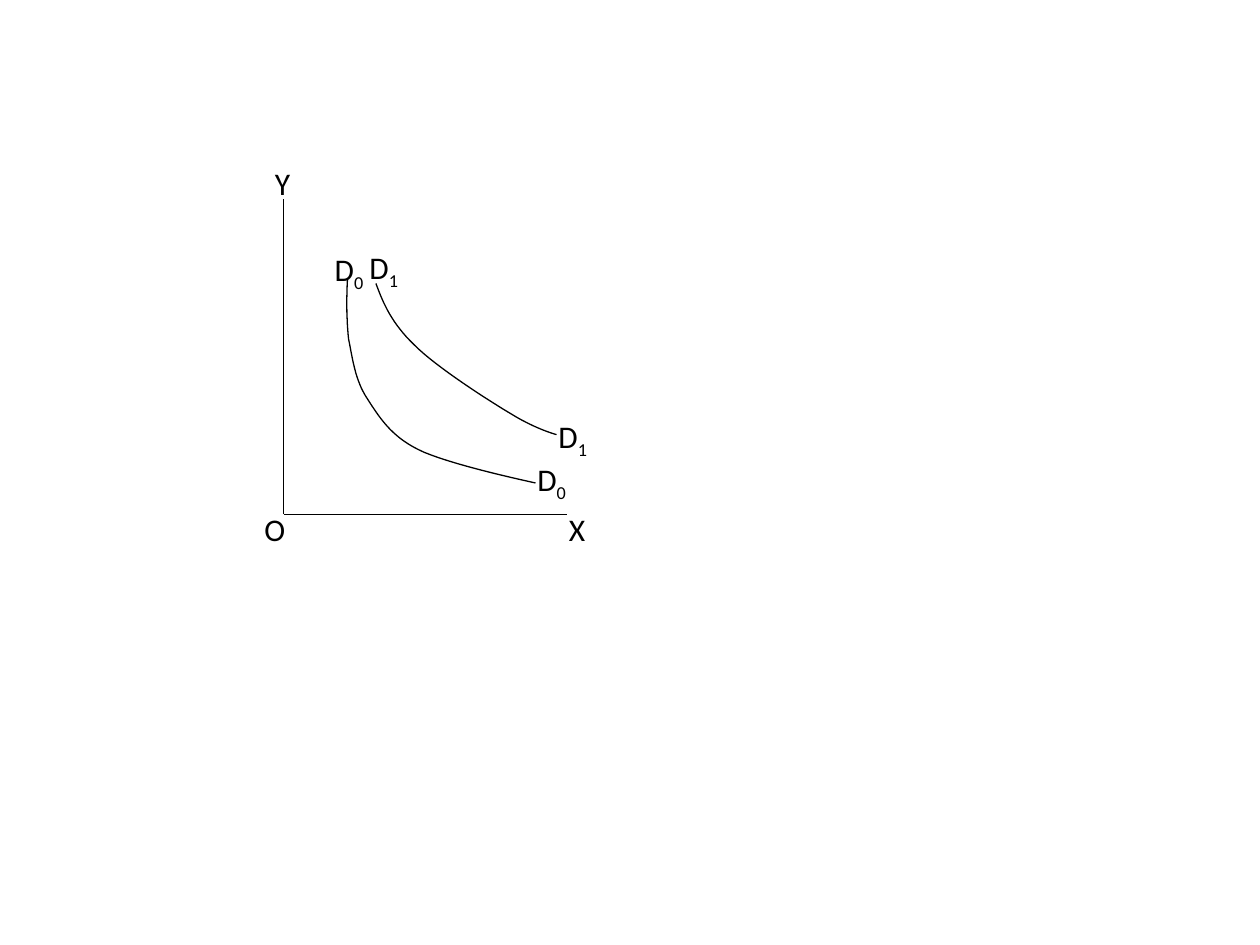
from dataclasses import dataclass

import lxml.etree
import pptx
import pptx.dml.color
import pptx.enum.shapes
import pptx.enum.text
import pptx.oxml.ns
import pptx.util

Point = tuple[float, float]


@dataclass(frozen=True)
class Theme:
    ink: pptx.dml.color.RGBColor = pptx.dml.color.RGBColor(0, 0, 0)
    font: str = "Calibri"
    label_size: pptx.util.Length = pptx.util.Pt(18)
    line_width: pptx.util.Length = pptx.util.Pt(0.75)
    subscript: str = "-25000"


@dataclass(frozen=True)
class Label:
    text: str
    column: float
    row: float
    width: float
    subscript: str = ""


THEME = Theme()

# Grid of 120 columns by 90 rows
CELL = pptx.util.Inches(1) // 12
COLUMNS, ROWS = 120, 90
LABEL_HEIGHT = 4.8
CURVE_STEPS = 16

# Axes share the origin
ORIGIN, Y_END, X_END = (27, 49), (27, 19), (54, 49)

# Demand curves: a start point, then two control points and an end per section
DEMAND_CURVES: list[list[Point]] = [
    [(33.1, 26.5),
     (33, 28.4), (33, 30.4), (33.2, 32.3),
     (33.6, 34.2), (33.8, 36.2), (35, 38),
     (36.1, 39.7), (37.2, 41.5), (39.8, 42.8),
     (42.5, 44.2), (51, 46), (51, 46)],
    [(35.8, 27),
     (36.5, 28.9), (37.3, 30.8), (39.5, 32.9),
     (41.6, 35), (46.6, 38.2), (48.8, 39.5),
     (51.1, 40.9), (53, 41.4), (53, 41.4)],
]

LABELS = [
    Label("D", 34, 23, 5.3, "1"),
    Label("D", 30.7, 23.2, 5.3, "0"),
    Label("D", 52, 39.1, 5.3, "1"),
    Label("D", 50, 43.2, 5.3, "0"),
    Label("X", 53, 48, 4),
    Label("O", 24, 48, 4.4),
    Label("Y", 25, 15, 3.8),
]


def grid(cells: float) -> int:
    return round(cells * CELL)


def style_line(shape) -> None:
    shape.line.color.rgb = THEME.ink
    shape.line.width = THEME.line_width


def draw_axis(slide, start: Point, end: Point) -> None:
    axis = slide.shapes.add_connector(
        pptx.enum.shapes.MSO_CONNECTOR.STRAIGHT, *map(grid, start + end))
    style_line(axis)
    lxml.etree.SubElement(axis._element.spPr, pptx.oxml.ns.qn("a:effectLst"))


def bezier_point(controls: list[Point], t: float) -> Point:
    weights = ((1 - t) ** 3, 3 * t * (1 - t) ** 2, 3 * t ** 2 * (1 - t), t ** 3)
    x, y = (sum(w * value for w, value in zip(weights, axis))
            for axis in zip(*controls))
    return x, y


def draw_curve(slide, points: list[Point]) -> None:
    traced = [bezier_point(points[i:i + 4], step / CURVE_STEPS)
              for i in range(0, len(points) - 1, 3)
              for step in range(1, CURVE_STEPS + 1)]
    builder = slide.shapes.build_freeform(*map(grid, points[0]))
    builder.add_line_segments([(grid(x), grid(y)) for x, y in traced], close=False)
    curve = builder.convert_to_shape()
    curve.shadow.inherit = False
    curve.fill.background()
    style_line(curve)


def draw_label(slide, label: Label) -> None:
    box = slide.shapes.add_textbox(
        *map(grid, (label.column, label.row, label.width, LABEL_HEIGHT)))
    frame = box.text_frame
    frame.word_wrap = False
    frame.auto_size = pptx.enum.text.MSO_AUTO_SIZE.SHAPE_TO_FIT_TEXT
    paragraph = frame.paragraphs[0]
    paragraph.font.name = THEME.font
    paragraph.font.size = THEME.label_size
    paragraph.font.color.rgb = THEME.ink
    paragraph.add_run().text = label.text
    if label.subscript:
        run = paragraph.add_run()
        run.text = label.subscript
        run._r.get_or_add_rPr().set("baseline", THEME.subscript)


def main() -> None:
    presentation = pptx.Presentation()
    presentation.slide_width = grid(COLUMNS)
    presentation.slide_height = grid(ROWS)
    slide = presentation.slides.add_slide(presentation.slide_layouts[6])

    # Axes
    draw_axis(slide, Y_END, ORIGIN)
    draw_axis(slide, ORIGIN, X_END)

    # Demand curves
    for points in DEMAND_CURVES:
        draw_curve(slide, points)

    # Curve and axis labels
    for label in LABELS:
        draw_label(slide, label)

    presentation.save("out.pptx")


if __name__ == "__main__":
    main()
